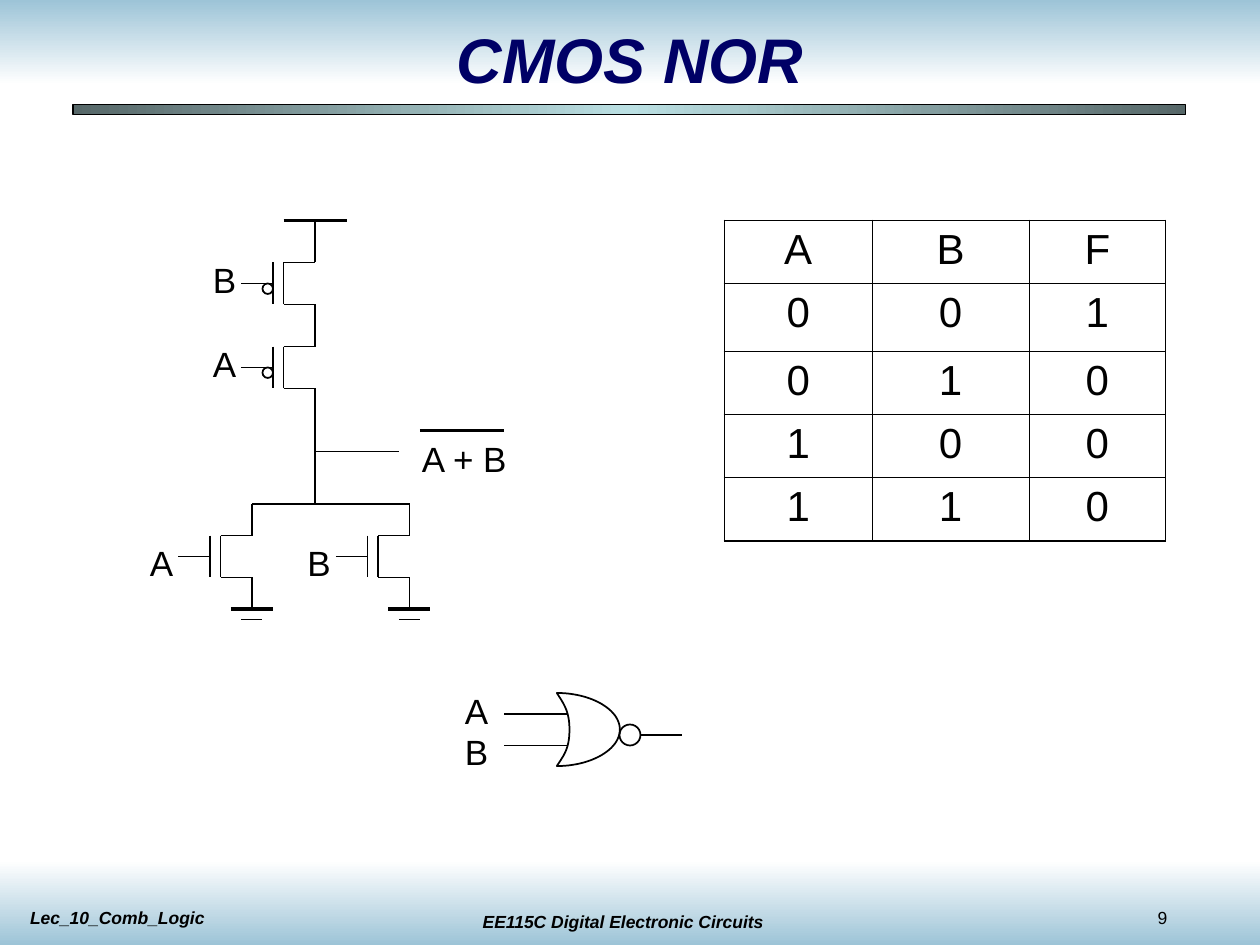
"""Build the CMOS NOR slide: transistor circuit, truth table and gate symbol."""
from copy import deepcopy

from lxml.etree import SubElement
from pptx import Presentation
from pptx.dml.color import RGBColor
from pptx.enum.shapes import MSO_CONNECTOR as Connector, MSO_SHAPE as Shape
from pptx.enum.text import MSO_ANCHOR as Anchor, MSO_AUTO_SIZE as AutoSize, PP_ALIGN as Align
from pptx.oxml.ns import qn
from pptx.util import Inches, Pt

COLORS = {"ink": "000000", "title": "000066", "sky": "9DC4D7",
          "white": "FFFFFF", "bar_edge": "566768", "bar_mid": "BBE0E3"}
FONT = "Arial"
THIN, THICK = 1, 2.25
TRUTH = ["ABF", "001", "010", "100", "110"]


def color(name):
    return RGBColor.from_string(COLORS[name])


def grid(steps):
    """Return a length on the drawing grid of twelve steps to the inch."""
    return Inches(steps / 12)


def style_text(paragraph, size, name="ink", strong=False, align=Align.LEFT):
    paragraph.alignment = align
    font = paragraph.font
    font.name, font.size = FONT, Pt(size)
    font.bold = font.italic = strong
    font.color.rgb = color(name)


def add_text(shapes, text, left, top, width, height, size=20, wrap=False, grow=True, **style):
    box = shapes.add_textbox(Inches(left), Inches(top), Inches(width), Inches(height))
    frame = box.text_frame
    frame.word_wrap = wrap
    frame.auto_size = AutoSize.SHAPE_TO_FIT_TEXT if grow else AutoSize.NONE
    frame.vertical_anchor = Anchor.TOP if grow else Anchor.MIDDLE
    frame.text = text
    style_text(frame.paragraphs[0], size, **style)


def add_wire(shapes, x1, y1, x2, y2, weight=THIN):
    wire = shapes.add_connector(Connector.STRAIGHT, grid(x1), grid(y1), grid(x2), grid(y2))
    wire.line.color.rgb = color("ink")
    wire.line.width = Pt(weight)
    SubElement(wire._element.spPr, qn("a:effectLst"))


def outline(shape):
    shape.shadow.inherit = False
    shape.fill.background()
    shape.line.color.rgb = color("ink")
    shape.line.width = Pt(THIN)


def add_bubble(shapes, x, y, size):
    outline(shapes.add_shape(Shape.OVAL, grid(x), grid(y), grid(size), grid(size)))


def add_gradient(shapes, left, top, width, height, names, angle):
    band = shapes.add_shape(Shape.RECTANGLE, Inches(left), Inches(top),
                            Inches(width), Inches(height))
    band.shadow.inherit = False
    band.line.fill.background()
    band.fill.gradient()
    band.fill.gradient_angle = angle
    stop_list = band._element.spPr.find(qn("a:gradFill")).find(qn("a:gsLst"))
    while len(stop_list) < len(names):
        stop_list.append(deepcopy(stop_list[-1]))
    for index, (stop, name) in enumerate(zip(band.fill.gradient_stops, names)):
        stop.position = index / (len(names) - 1)
        stop.color.rgb = color(name)
    return band


def add_transistor(slide, x, y):
    """Draw a transistor whose channel starts at grid point x, y."""
    parts = slide.shapes.add_group_shape().shapes
    for wire in [(x - 3, y, x, y), (x - 3, y, x - 3, y + 4), (x - 3, y + 4, x, y + 4),
                 (x - 4, y, x - 4, y + 4), (x, y + 4, x, y + 7),
                 (x - 7, y + 2, x - 4, y + 2)]:
        add_wire(parts, *wire)
    return parts


def add_pmos(slide, x, y):
    parts = add_transistor(slide, x, y)
    add_wire(parts, x, y - 3, x, y)
    add_bubble(parts, x - 5, y + 2, 1)


def add_nmos(slide, x, y):
    parts = add_transistor(slide, x, y)
    add_wire(parts, x - 2, y + 7, x + 2, y + 7, THICK)
    add_wire(parts, x - 1, y + 8, x + 1, y + 8)


def curve(start, first, second, end, steps=24):
    """Return points along a cubic curve, without its start."""
    points = []
    for step in range(1, steps + 1):
        t = step / steps
        weights = ((1 - t) ** 3, 3 * t * (1 - t) ** 2, 3 * t * t * (1 - t), t ** 3)
        points.append(tuple(sum(w * p[axis] for w, p in zip(weights, (start, first, second, end)))
                            for axis in (0, 1)))
    return points


def add_nor_gate(shapes):
    top, back, bottom, nose = (4.42, 5.5), (4.52, 5.79), (4.42, 6.08), (4.92, 5.79)
    points = (curve(top, (4.47, 5.58), (4.52, 5.64), back)
              + curve(back, (4.52, 5.95), (4.47, 6), bottom)
              + curve(bottom, (4.69, 6.08), (4.92, 5.95), nose)
              + curve(nose, (4.92, 5.63), (4.69, 5.5), top))
    builder = shapes.build_freeform(Inches(top[0]), Inches(top[1]))
    builder.add_line_segments([(Inches(x), Inches(y)) for x, y in points], close=True)
    outline(builder.convert_to_shape())
    for wire in [(48, 68, 54, 68), (48, 71, 54, 71), (61, 70, 65, 70)]:
        add_wire(shapes, *wire)
    add_bubble(shapes, 59, 69, 2)
    for label, top_edge in (("A", 5.42), ("B", 5.75)):
        add_text(shapes, label, 3.59, top_edge, 0.38, 0.44)


def add_border(cell, side, weight):
    border = SubElement(cell._tc.get_or_add_tcPr(), qn(f"a:ln{side}"), w=str(Pt(weight)))
    fill = SubElement(border, qn("a:solidFill"))
    SubElement(fill, qn("a:srgbClr"), val=COLORS["ink"])


def add_truth_table(shapes):
    table = shapes.add_table(5, 3, Inches(5.75), Inches(1.75), Inches(3.5), Inches(2.54)).table
    table.first_row = table.horz_banding = False
    for column, width in zip(table.columns, (1.17, 1.25, 1.08)):
        column.width = Inches(width)
    for row, height in zip(table.rows, (0.5, 0.54, 0.5, 0.5, 0.5)):
        row.height = Inches(height)
    for r, values in enumerate(TRUTH):
        for c, value in enumerate(values):
            cell = table.cell(r, c)
            cell.text = value
            style_text(cell.text_frame.paragraphs[0], 24, align=Align.CENTER)
            heavy = {"L": c != 1, "R": c != 0, "T": r < 2, "B": r in (0, 4)}
            for side, is_heavy in heavy.items():
                add_border(cell, side, 1.08 if is_heavy else 0.45)
            cell.fill.background()


def add_circuit(slide):
    shapes = slide.shapes
    for wire in [(30, 48, 30, 38), (30, 43, 38, 43), (30, 24, 30, 21),
                 (24, 48, 24, 51), (39, 48, 39, 51), (24, 48, 39, 48)]:
        add_wire(shapes, *wire)
    add_wire(shapes, 27, 21, 33, 21, THICK)
    add_wire(shapes, 40, 41, 48, 41, THICK)
    for y in (25, 33):
        add_pmos(slide, 30, y)
    for x in (24, 39):
        add_nmos(slide, x, 51)
    for label, left, top in [("B", 1.59, 2), ("A", 1.59, 2.67),
                             ("A", 1.09, 4.25), ("B", 2.34, 4.25)]:
        add_text(shapes, label, left, top, 0.38, 0.44)
    add_text(shapes, "A + B", 3.25, 3.42, 0.89, 0.44)


def add_frame(shapes):
    add_gradient(shapes, 0, 0, 10, 0.67, ("sky", "white"), 270)
    add_gradient(shapes, 0, 6.83, 10, 0.67, ("white", "sky"), 270)
    add_text(shapes, "EE115C Digital Electronic Circuits", 3.53, 7.18, 2.83, 0.27,
             size=10, wrap=True, strong=True, align=Align.CENTER)
    add_text(shapes, "9", 9.09, 7.15, 0.83, 0.27, size=10)
    add_text(shapes, "Lec_10_Comb_Logic", 0.14, 7.15, 2.83, 0.27,
             size=10, wrap=True, strong=True)
    rule = add_gradient(shapes, 0.58, 0.83, 8.83, 0.08, ("bar_edge", "bar_mid", "bar_edge"), 180)
    rule.line.color.rgb = color("ink")
    rule.line.width = Pt(0.75)
    add_text(shapes, "CMOS NOR", 0.75, 0.17, 8.5, 0.58, size=36, wrap=True, grow=False,
             name="title", strong=True, align=Align.CENTER)


def main():
    deck = Presentation()
    deck.slide_width, deck.slide_height = Inches(10), Inches(7.5)
    slide = deck.slides.add_slide(deck.slide_layouts[6])
    add_frame(slide.shapes)
    add_circuit(slide)
    add_truth_table(slide.shapes)
    add_nor_gate(slide.shapes)
    deck.save("out.pptx")


if __name__ == "__main__":
    main()
